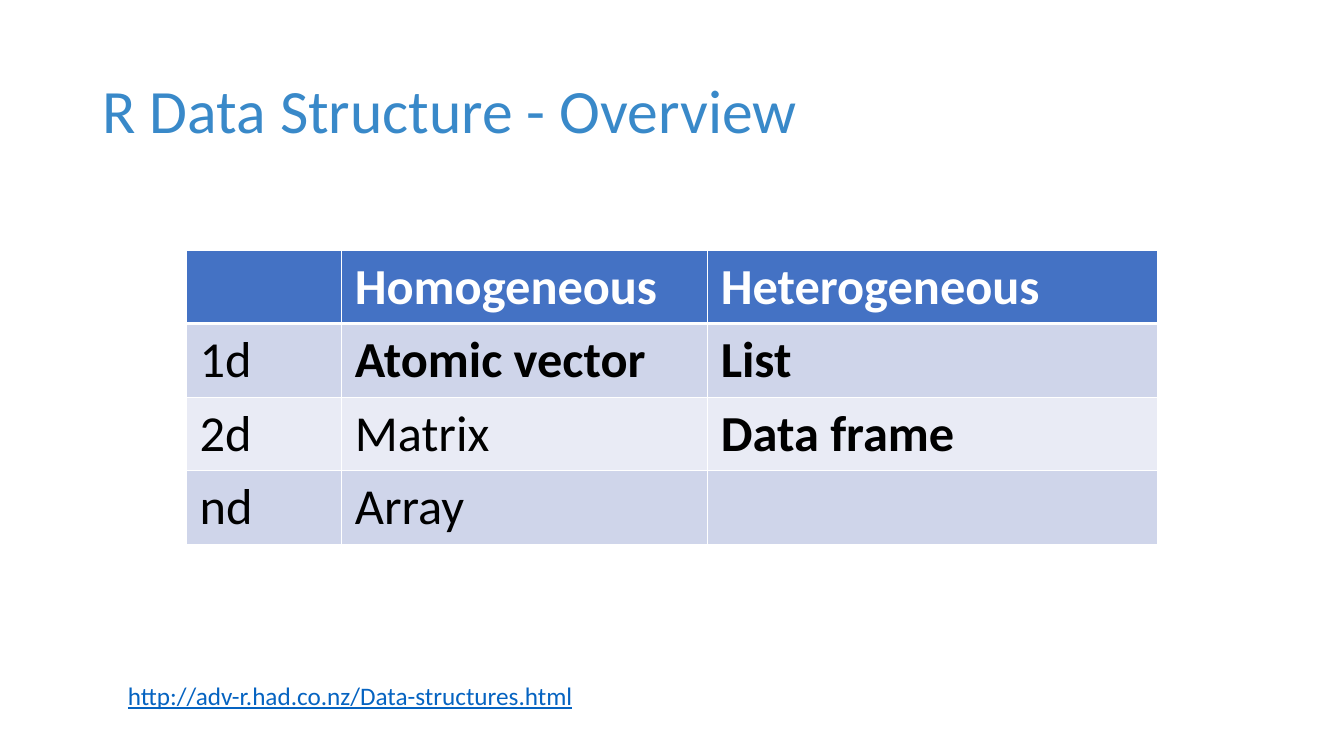
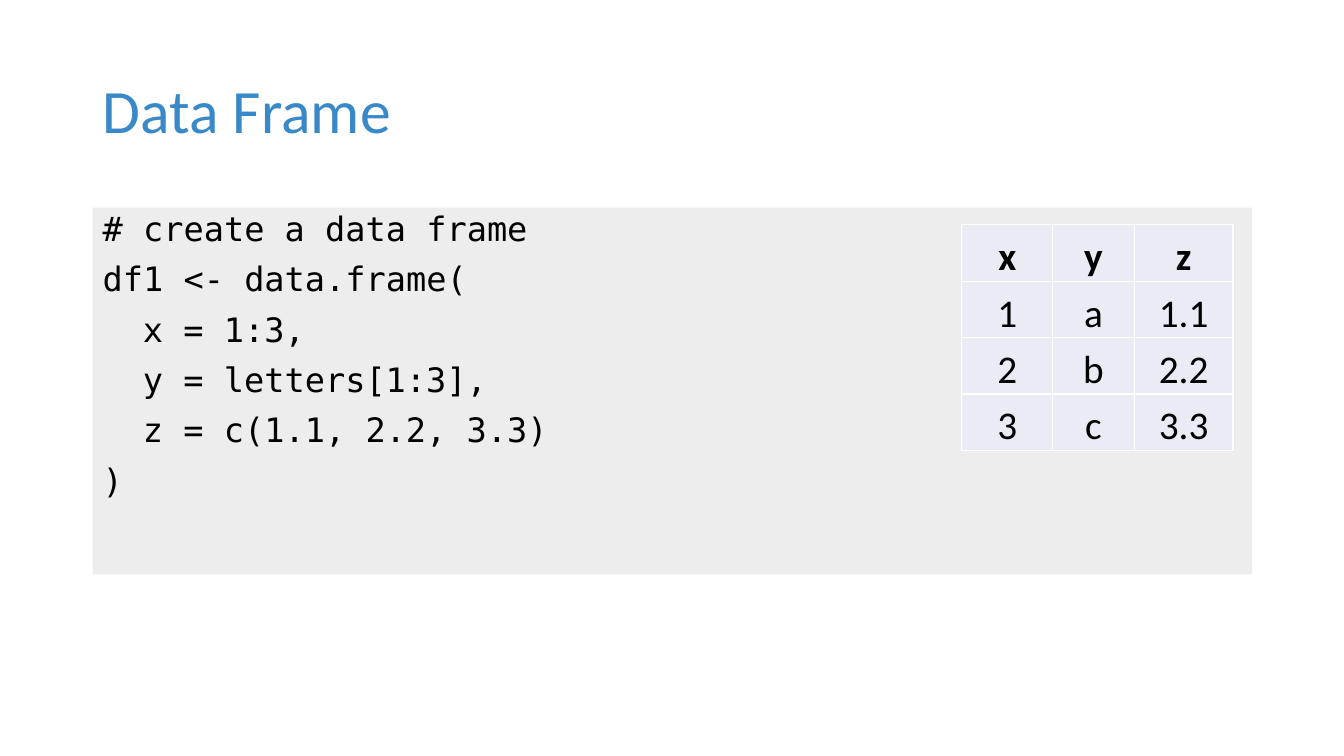
from dataclasses import dataclass

from lxml import etree
from pptx import Presentation
from pptx.dml.color import RGBColor
from pptx.enum import shapes, text
from pptx.oxml import ns
from pptx.util import Inches, Pt

TITLE_BLUE = RGBColor(0x39, 0x89, 0xC9)
HEADER_BLUE = RGBColor(0x44, 0x72, 0xC4)
BAND_DARK = RGBColor(0xCF, 0xD5, 0xEA)
BAND_LIGHT = RGBColor(0xE9, 0xEB, 0xF5)
LINK_BLUE = RGBColor(0x05, 0x63, 0xC1)
CODE_GREY = RGBColor(0xED, 0xED, 0xED)
BLACK = RGBColor(0, 0, 0)
WHITE = RGBColor(0xFF, 0xFF, 0xFF)

BODY_FONT = "Calibri"
CODE_FONT = "DejaVu Sans Mono"
MARGIN = Inches(0.92)
CONTENT_WIDTH = Inches(11.5)
CODE_INDENT = Inches(0.4)

STRUCTURES = [
    ["", "Homogeneous", "Heterogeneous"],
    ["1d", "Atomic vector", "List"],
    ["2d", "Matrix", "Data frame"],
    ["nd", "Array", ""],
]
KEY_STRUCTURES = {"Atomic vector", "List", "Data frame"}
FRAME = [["x", "y", "z"], ["1", "a", "1.1"], ["2", "b", "2.2"], ["3", "c", "3.3"]]

# Each code line: indent level, text
CODE = [
    (0, "# create a data frame"),
    (0, "df1 <- data.frame("),
    (1, "x = 1:3,"),
    (1, "y = letters[1:3],"),
    (1, "z = c(1.1, 2.2, 3.3)"),
    (0, ")"),
]


@dataclass
class TableStyle:
    """Fills run from the header down; insets are left, top, right, bottom."""
    size: int
    fills: list[RGBColor]
    header_color: RGBColor
    header_rule: int
    insets: tuple[float, float, float, float]
    anchor: text.MSO_ANCHOR
    align: text.PP_ALIGN


OVERVIEW_STYLE = TableStyle(
    36, [HEADER_BLUE, BAND_DARK, BAND_LIGHT, BAND_DARK], WHITE, 3,
    (0.13, 0.06, 0.13, 0.06), text.MSO_ANCHOR.TOP, text.PP_ALIGN.LEFT)
FRAME_STYLE = TableStyle(
    28, [BAND_LIGHT] * 4, BLACK, 1,
    (0.02, 0.02, 0.02, 0), text.MSO_ANCHOR.BOTTOM, text.PP_ALIGN.CENTER)


def format_runs(paragraph, size: int, color: RGBColor, font: str = BODY_FONT,
                bold: bool = False, underline: bool = False) -> None:
    for run in paragraph.runs:
        run.font.name = font
        run.font.size = Pt(size)
        run.font.color.rgb = color
        run.font.bold = bold
        run.font.underline = underline


def add_title(slide, wording: str) -> None:
    title = slide.shapes.add_textbox(MARGIN, Inches(0.4), CONTENT_WIDTH, Inches(1.45))
    frame = title.text_frame
    frame.word_wrap = True
    frame.vertical_anchor = text.MSO_ANCHOR.MIDDLE
    frame.text = wording
    frame.paragraphs[0].line_spacing = 0.9
    format_runs(frame.paragraphs[0], 44, TITLE_BLUE)


def add_border(cell, side: str, width: int) -> None:
    properties = cell._tc.get_or_add_tcPr()
    line = etree.SubElement(properties, ns.qn(f"a:ln{side}"), w=str(Pt(width)))
    fill = etree.SubElement(line, ns.qn("a:solidFill"))
    etree.SubElement(fill, ns.qn("a:srgbClr"), val=str(WHITE))


def add_grid(slide, left: float, top: float, columns: list[float], row_height: float,
             rows: list[list[str]], style: TableStyle,
             emphasized: frozenset | set = frozenset()) -> None:
    grid = slide.shapes.add_table(
        len(rows), len(columns), Inches(left), Inches(top),
        Inches(sum(columns)), Inches(row_height * len(rows))).table
    grid.first_row = False
    grid.horz_banding = False
    for column, width in zip(grid.columns, columns):
        column.width = Inches(width)
    for r, (row, values) in enumerate(zip(grid.rows, rows)):
        row.height = Inches(row_height)
        header = r == 0
        rules = {"L": 1, "R": 1,
                 "T": style.header_rule if r == 1 else 1,
                 "B": style.header_rule if header else 1}
        for cell, value in zip(row.cells, values):
            for side, width in rules.items():
                add_border(cell, side, width)
            cell.fill.solid()
            cell.fill.fore_color.rgb = style.fills[r]
            (cell.margin_left, cell.margin_top,
             cell.margin_right, cell.margin_bottom) = map(Inches, style.insets)
            cell.vertical_anchor = style.anchor
            cell.text_frame.text = value
            paragraph = cell.text_frame.paragraphs[0]
            paragraph.alignment = style.align
            format_runs(paragraph, style.size, style.header_color if header else BLACK,
                        bold=header or value in emphasized)


def add_code_panel(slide) -> None:
    panel = slide.shapes.add_shape(
        shapes.MSO_SHAPE.RECTANGLE, MARGIN, Inches(2.06), CONTENT_WIDTH, Inches(3.64))
    panel.shadow.inherit = False
    panel.fill.solid()
    panel.fill.fore_color.rgb = CODE_GREY
    panel.line.fill.background()
    frame = panel.text_frame
    frame.word_wrap = True
    frame.vertical_anchor = text.MSO_ANCHOR.TOP
    frame.text = "\n".join(line for _, line in CODE)
    for paragraph, (level, _) in zip(frame.paragraphs, CODE):
        paragraph.alignment = text.PP_ALIGN.LEFT
        paragraph.line_spacing = 0.9
        paragraph.space_before = Pt(10)
        paragraph._p.get_or_add_pPr().set("marL", str(level * CODE_INDENT))
        format_runs(paragraph, 24, BLACK, CODE_FONT)


def add_reference(slide, address: str) -> None:
    reference = slide.shapes.add_textbox(
        Inches(1.17), Inches(6.7), Inches(6.9), Inches(0.4))
    frame = reference.text_frame
    frame.word_wrap = True
    frame.text = address
    format_runs(frame.paragraphs[0], 18, LINK_BLUE, underline=True)


def main() -> None:
    deck = Presentation()
    deck.slide_width = Inches(13.33)
    deck.slide_height = Inches(7.5)
    blank = deck.slide_layouts[6]

    overview = deck.slides.add_slide(blank)
    add_title(overview, "R Data Structure - Overview")
    add_grid(overview, 1.85, 2.48, [1.54, 3.63, 4.46], 0.73,
             STRUCTURES, OVERVIEW_STYLE, KEY_STRUCTURES)
    add_reference(overview, "http://adv-r.had.co.nz/Data-structures.html")

    data_frame = deck.slides.add_slide(blank)
    add_title(data_frame, "Data Frame")
    add_code_panel(data_frame)
    add_grid(data_frame, 9.54, 2.23, [0.9, 0.81, 0.98], 0.56, FRAME, FRAME_STYLE)

    deck.save("out.pptx")


if __name__ == "__main__":
    main()
